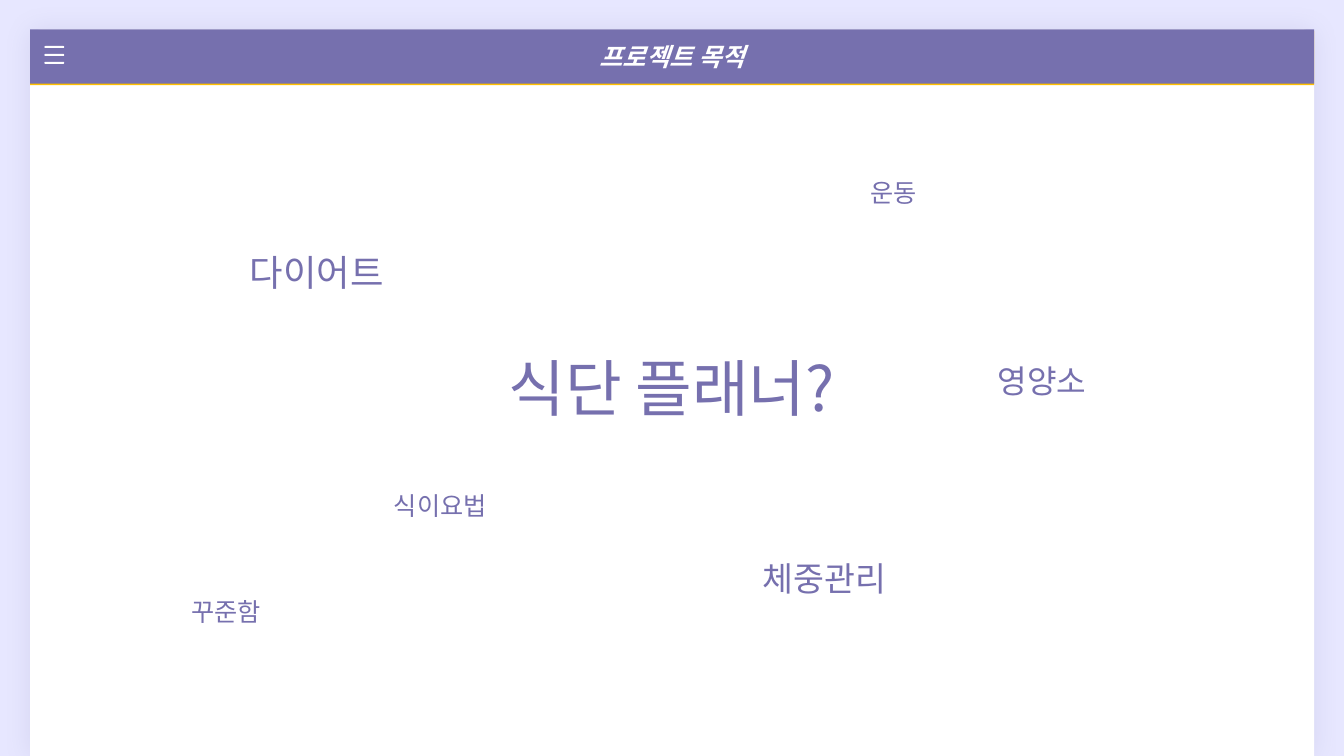
from copy import deepcopy
from dataclasses import dataclass

from lxml.etree import SubElement
from pptx import Presentation
from pptx.dml.color import RGBColor
from pptx.enum.shapes import MSO_SHAPE as Geom
from pptx.enum.text import MSO_ANCHOR as Anchor, MSO_AUTO_SIZE as AutoSize, PP_ALIGN as Align
from pptx.oxml.ns import qn
from pptx.shapes.autoshape import Shape
from pptx.slide import Slide
from pptx.util import Cm, Pt

FONT = "Noto Sans CJK KR"
COLORS = {"back": "E7E7FF", "white": "FFFFFF", "purple": "7670AE", "gold": "FFC000"}
LEFT, TOP, WIDTH = 0.76, 0.74, 32.36


@dataclass
class Keyword:
    text: str
    left: float
    top: float
    width: float
    height: float
    size: int
    align: Align = Align.LEFT


@dataclass
class Shadow:
    color: str
    alpha: int
    blur: float
    dist: float
    angle: int


KEYWORDS = [
    Keyword("식단 플래너?", 9.35, 8.69, 15.16, 2.11, 44, Align.CENTER),
    Keyword("다이어트", 6.05, 6.17, 4.52, 1.35, 26),
    Keyword("식이요법", 9.68, 12.24, 3.61, 1.02, 18),
    Keyword("체중관리", 18.97, 13.94, 5.46, 1.24, 24),
    Keyword("운동", 21.69, 4.34, 4.95, 1.02, 18),
    Keyword("영양소", 24.89, 8.99, 5.97, 1.22, 23),
    Keyword("꾸준함", 4.57, 14.91, 3.38, 1.02, 18),
]


def rgb(name: str) -> RGBColor:
    return RGBColor.from_string(COLORS[name])


def paint(sp: Shape, color: str) -> None:
    sp.fill.solid()
    sp.fill.fore_color.rgb = rgb(color)
    sp.line.fill.background()
    sp.shadow.inherit = False


def add_panel(s: Slide, geom: Geom, left: float, top: float, width: float,
              height: float, adj: float, color: str) -> Shape:
    sp = s.shapes.add_shape(geom, Cm(left), Cm(top), Cm(width), Cm(height))
    sp.adjustments[0] = adj
    paint(sp, color)
    return sp


def add_shadow(sp: Shape, shadow: Shadow) -> None:
    effects = sp._element.spPr.find(qn("a:effectLst"))
    outer = SubElement(effects, qn("a:outerShdw"), blurRad=str(Pt(shadow.blur)),
                       dist=str(Pt(shadow.dist)), dir=str(shadow.angle * 60000),
                       algn="ctr", rotWithShape="0")
    clr = SubElement(outer, qn("a:srgbClr"), val=COLORS[shadow.color])
    SubElement(clr, qn("a:alpha"), val=str(shadow.alpha * 1000))


def write(sp: Shape, text: str, size: int, color: str, align: Align) -> None:
    p = sp.text_frame.paragraphs[0]
    p.text = text
    p.alignment = align
    font = p.runs[0].font
    font.name, font.size = FONT, Pt(size)
    font.color.rgb = rgb(color)
    SubElement(font._element, qn("a:ea"), typeface=FONT)


def add_header(s: Slide, card: Shape) -> None:
    title = s.shapes.title
    title.left, title.top, title.width, title.height = Cm(LEFT), Cm(TOP), Cm(WIDTH), Cm(1.37)
    title._element.spPr.append(deepcopy(card._element.spPr.find(qn("a:prstGeom"))))
    title.adjustments[0] = 0.167
    paint(title, "purple")
    add_shadow(title, Shadow("gold", 100, 0, 1, 90))
    tf = title.text_frame
    tf.auto_size, tf.vertical_anchor = AutoSize.NONE, Anchor.MIDDLE
    write(title, "프로젝트 목적", 18, "white", Align.CENTER)
    font = tf.paragraphs[0].runs[0].font
    font.bold = font.italic = True
    card._element.addnext(title._element)


def add_keyword(s: Slide, word: Keyword) -> None:
    sp = s.shapes.add_textbox(Cm(word.left), Cm(word.top), Cm(word.width), Cm(word.height))
    tf = sp.text_frame
    tf.word_wrap, tf.auto_size = True, AutoSize.SHAPE_TO_FIT_TEXT
    write(sp, word.text, word.size, "purple", word.align)


def main() -> None:
    """Build the project purpose slide with its keyword cloud."""
    prs = Presentation()
    prs.slide_width, prs.slide_height = Cm(33.87), Cm(19.05)
    s = prs.slides.add_slide(prs.slide_layouts[5])
    s.background.fill.solid()
    s.background.fill.fore_color.rgb = rgb("back")

    card = add_panel(s, Geom.ROUND_2_SAME_RECTANGLE, LEFT, TOP, WIDTH, 18.31, 0.016, "white")
    add_shadow(card, Shadow("purple", 14, 18, 0, 0))
    add_header(s, card)
    for i in range(3):
        add_panel(s, Geom.ROUNDED_RECTANGLE, 1.12, 1.16 + 0.2 * i, 0.5, 0.05, 0.5, "white")
    for word in KEYWORDS:
        add_keyword(s, word)
    prs.save("out.pptx")


if __name__ == "__main__":
    main()
